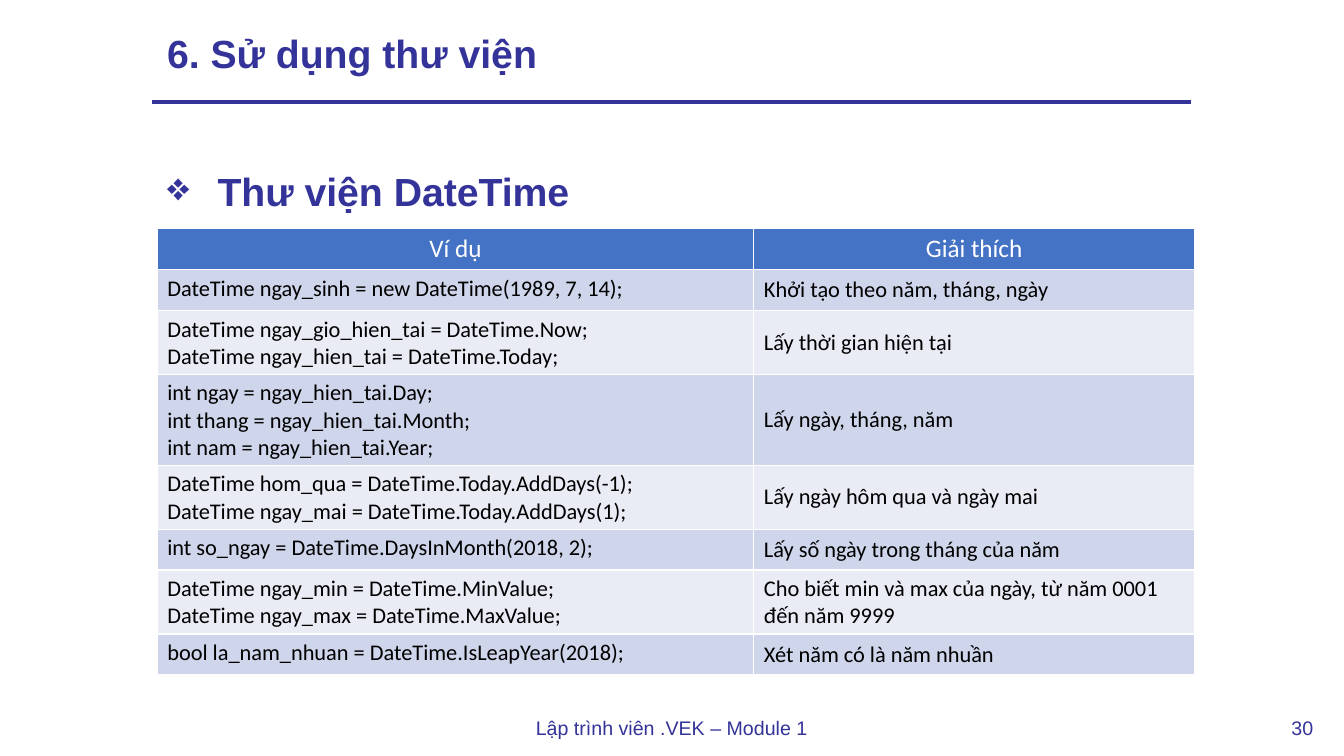
from dataclasses import dataclass

import pptx
import pptx.dml.color
import pptx.enum.shapes
import pptx.enum.text
import pptx.oxml
import pptx.oxml.ns
import pptx.util
from lxml import etree

Pt = pptx.util.Pt
Align = pptx.enum.text.PP_ALIGN
Anchor = pptx.enum.text.MSO_ANCHOR


@dataclass(frozen=True)
class Theme:
    accent: str = "333399"
    header: str = "4472C4"
    bands: tuple = ("CFD5EA", "E9EBF5")
    white: str = "FFFFFF"
    body: str = "000000"
    display_font: str = "Arial"
    table_font: str = "Calibri"
    heading_size: int = 28
    header_size: int = 18
    code_size: int = 16
    footer_size: int = 14


THEME = Theme()

EXAMPLES = [
    ("DateTime ngay_sinh = new DateTime(1989, 7, 14);", "Khởi tạo theo năm, tháng, ngày"),
    ("DateTime ngay_gio_hien_tai = DateTime.Now;\nDateTime ngay_hien_tai = DateTime.Today;",
     "Lấy thời gian hiện tại"),
    ("int ngay = ngay_hien_tai.Day;\nint thang = ngay_hien_tai.Month;\nint nam = ngay_hien_tai.Year;",
     "Lấy ngày, tháng, năm"),
    ("DateTime hom_qua = DateTime.Today.AddDays(-1);\nDateTime ngay_mai = DateTime.Today.AddDays(1);",
     "Lấy ngày hôm qua và ngày mai"),
    ("int so_ngay = DateTime.DaysInMonth(2018, 2);", "Lấy số ngày trong tháng của năm"),
    ("DateTime ngay_min = DateTime.MinValue;\nDateTime ngay_max = DateTime.MaxValue;",
     "Cho biết min và max của ngày, từ năm 0001 đến năm 9999"),
    ("bool la_nam_nhuan = DateTime.IsLeapYear(2018);", "Xét năm có là năm nhuần"),
]
ROW_HEIGHTS = {1: 29.2, 2: 45.3, 3: 64.9}


def rgb(value):
    return pptx.dml.color.RGBColor.from_string(value)


def write(frame, text, *, size, font=THEME.display_font, color=THEME.accent, bold=False,
          align=Align.LEFT, spacing=None, after=None, bullet=None, indent=36):
    for index, line in enumerate(text.split("\n")):
        paragraph = frame.add_paragraph() if index else frame.paragraphs[0]
        paragraph.alignment = align
        paragraph.line_spacing = spacing
        if after is not None:
            paragraph.space_after = Pt(after)
        run = paragraph.add_run()
        run.text = line
        run.font.size = Pt(size)
        run.font.name = font
        run.font.bold = bold
        run.font.color.rgb = rgb(color)
        if bullet:
            properties = paragraph._p.get_or_add_pPr()
            properties.set("marL", str(Pt(indent)))
            properties.set("indent", str(-Pt(indent)))
            mark = etree.SubElement(properties, pptx.oxml.ns.qn("a:buChar"))
            mark.set("char", bullet)


def add_text(slide, box, text, wrap=True, anchor=Anchor.TOP, **text_format):
    frame = slide.shapes.add_textbox(*map(Pt, box)).text_frame
    frame.word_wrap = wrap
    frame.vertical_anchor = anchor
    write(frame, text, **text_format)


def add_title(slide, box, title):
    left, top, width, height = box
    add_text(slide, (left + 3.6, top, width, 40.3), title, anchor=Anchor.MIDDLE,
             size=THEME.heading_size, bold=True, spacing=0.9)
    rule = slide.shapes.add_connector(
        pptx.enum.shapes.MSO_CONNECTOR.STRAIGHT,
        Pt(left), Pt(top + height), Pt(left + 742.3), Pt(top + height))
    rule.line.color.rgb = rgb(THEME.accent)
    rule.line.width = Pt(3)
    etree.SubElement(rule._element.spPr, pptx.oxml.ns.qn("a:effectLst"))


def set_borders(cell):
    properties = cell._tc.get_or_add_tcPr()
    for side in "LRTB":
        properties.append(pptx.oxml.parse_xml(
            f'<a:ln{side} {pptx.oxml.ns.nsdecls("a")} w="{Pt(1)}"><a:solidFill>'
            f'<a:srgbClr val="{THEME.white}"/></a:solidFill></a:ln{side}>'))


def fill_cell(cell, text, fill, anchor=Anchor.TOP, **text_format):
    set_borders(cell)
    cell.fill.solid()
    cell.fill.fore_color.rgb = rgb(fill)
    cell.vertical_anchor = anchor
    write(cell.text_frame, text, font=THEME.table_font, **text_format)


def add_examples(slide, box, headers, examples):
    left, top, width, height = box
    table = slide.shapes.add_table(len(examples) + 1, len(headers), *map(Pt, box)).table
    code_width = 426.2
    table.columns[0].width = Pt(code_width)
    table.columns[1].width = Pt(width - code_width)
    table.rows[0].height = Pt(ROW_HEIGHTS[1])
    for column, header in enumerate(headers):
        fill_cell(table.cell(0, column), header, THEME.header, size=THEME.header_size,
                  color=THEME.white, align=Align.CENTER)
    for index, (code, meaning) in enumerate(examples):
        row = index + 1
        band = THEME.bands[index % 2]
        table.rows[row].height = Pt(ROW_HEIGHTS[len(code.split("\n"))])
        for column, (text, anchor) in enumerate(((code, Anchor.TOP), (meaning, Anchor.MIDDLE))):
            fill_cell(table.cell(row, column), text, band, anchor,
                      size=THEME.code_size, color=THEME.body)


def add_library(slide, box, heading, headers, examples):
    left, top, width, height = box
    add_text(slide, (left, top, width, 51.8), heading, size=THEME.heading_size, bold=True,
             align=Align.JUSTIFY, spacing=1.5, after=8, bullet="❖")
    table_offset = 64.1
    add_examples(slide, (left, top + table_offset, width, height - table_offset), headers, examples)


def add_footer(slide, box, course, number):
    left, top, width, height = box
    number_width = 31.7
    parts = ((course, left, 209.5), (number, left + width - number_width, number_width))
    for text, part_left, part_width in parts:
        add_text(slide, (part_left, top, part_width, height), text, wrap=False,
                 size=THEME.footer_size, align=Align.CENTER, spacing=1.5)


def main():
    deck = pptx.Presentation()
    deck.slide_width = Pt(960)
    deck.slide_height = Pt(540)
    slide = deck.slides.add_slide(deck.slide_layouts[6])
    add_footer(slide, (375.1, 499.7, 571, 29.5), "Lập trình viên .VEK – Module 1", "30")
    add_title(slide, (108.7, 19.4, 749.5, 53.5), "6. Sử dụng thư viện")
    add_library(slide, (112.3, 99.4, 740.9, 382.3), "Thư viện DateTime",
                ("Ví dụ", "Giải thích"), EXAMPLES)
    deck.save("out.pptx")


if __name__ == "__main__":
    main()
